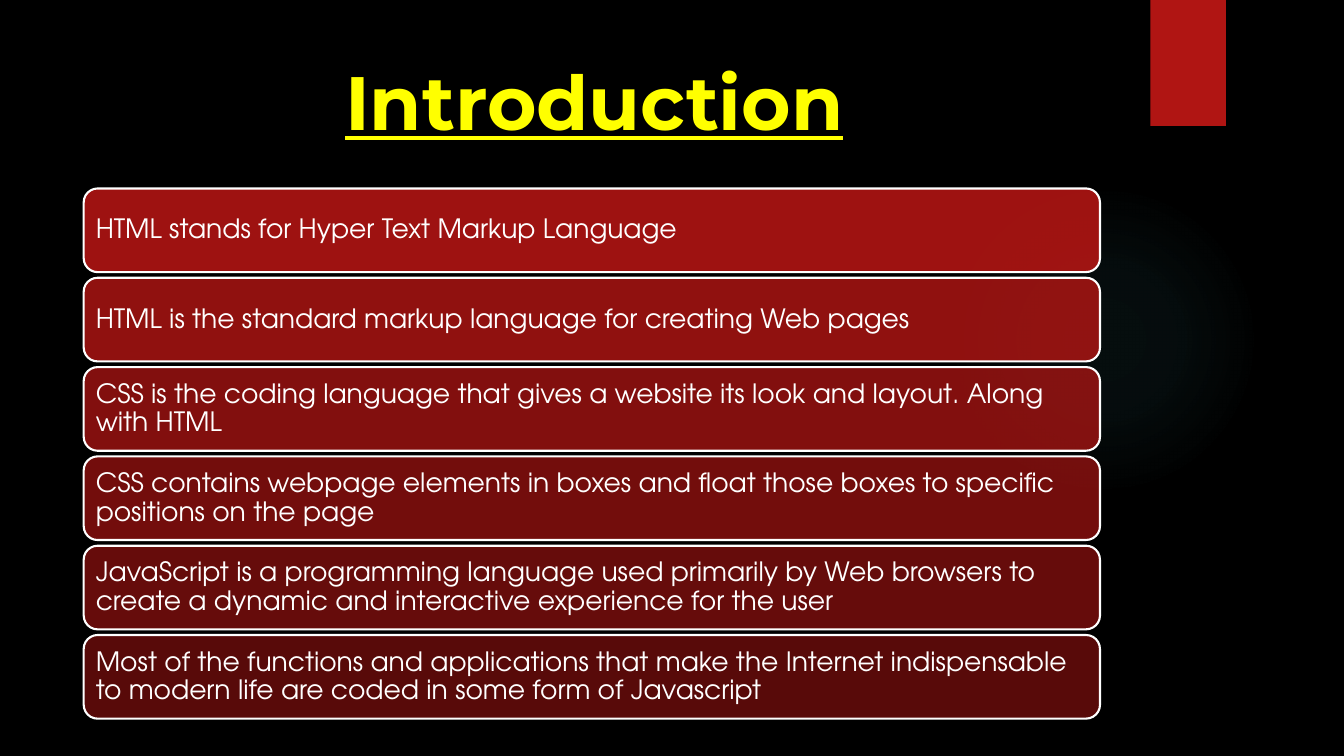
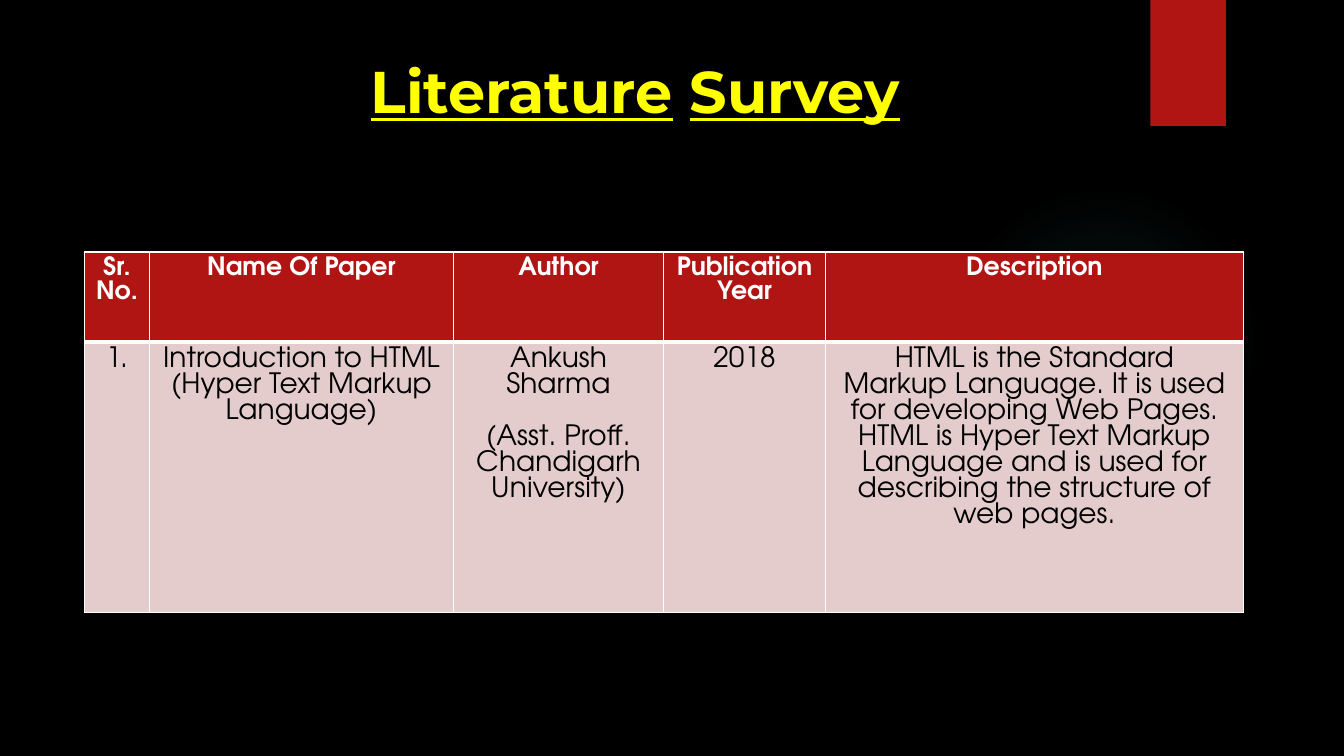
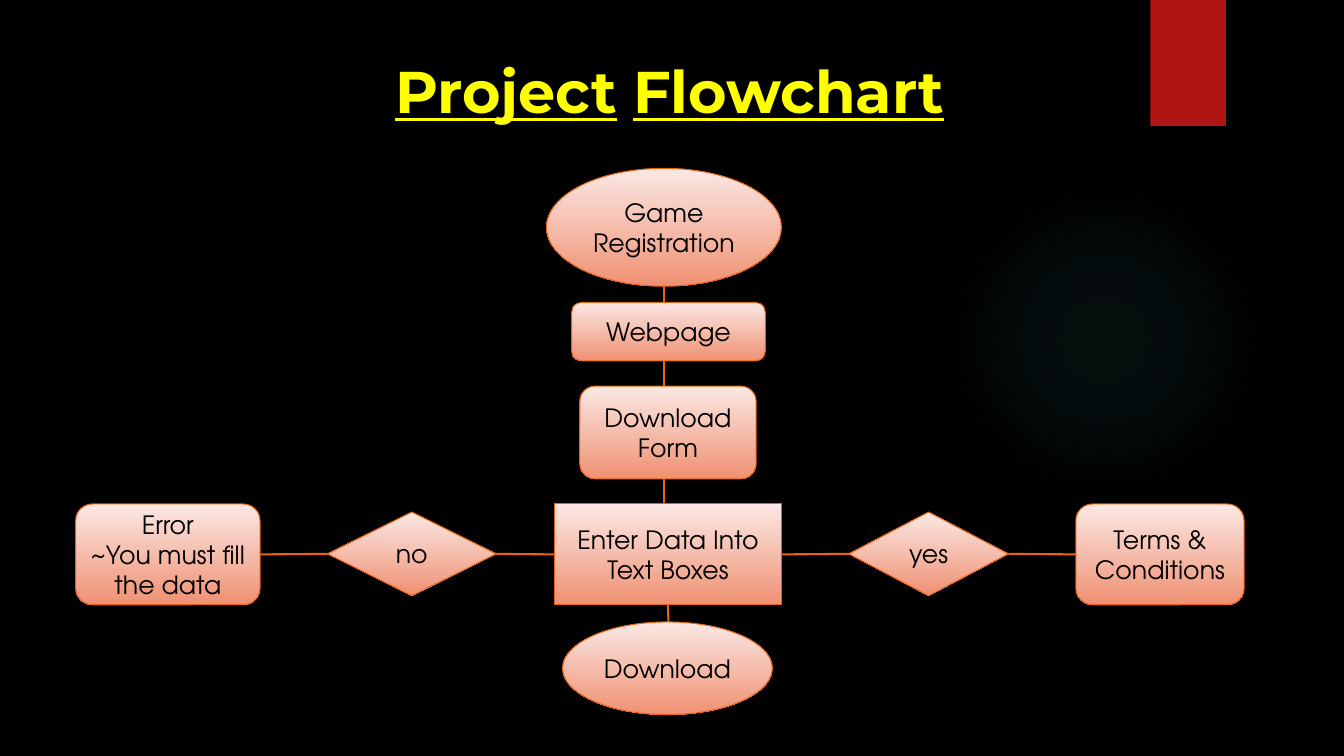
"""Build three dark slides on web languages: introduction, literature survey and flowchart."""
import pptx
import pptx.util
import pptx.oxml
import pptx.oxml.ns
import pptx.dml.color
import pptx.enum.shapes
import pptx.enum.text
import lxml.etree

Inches = pptx.util.Inches
Pt = pptx.util.Pt
SHAPE = pptx.enum.shapes.MSO_SHAPE
STRAIGHT = pptx.enum.shapes.MSO_CONNECTOR.STRAIGHT
CENTER = pptx.enum.text.PP_ALIGN.CENTER
LEFT = pptx.enum.text.PP_ALIGN.LEFT
MIDDLE = pptx.enum.text.MSO_ANCHOR.MIDDLE

BLACK, WHITE, YELLOW = "000000", "FFFFFF", "FFFF00"
RED, PINK, ORANGE, TEAL = "B01513", "E4CCCC", "EA6312", "50B9C1"
NODE_GRADIENT = ["FBE8E4", "EF9173"]
TITLE_FONT, BODY_FONT = "Montserrat", "TeX Gyre Adventor"


def color(code):
    return pptx.dml.color.RGBColor.from_string(code)


def add_text(paragraph, text, code, alignment=CENTER, **formats):
    paragraph.alignment = alignment
    run = paragraph.add_run()
    run.text = text
    run.font.color.rgb = color(code)
    for name, value in formats.items():
        setattr(run.font, name, value)


presentation = pptx.Presentation()
presentation.slide_width = Inches(13.33)
presentation.slide_height = Inches(7.5)
layout = presentation.slide_layouts[5]
layout.background.fill.solid()
layout.background.fill.fore_color.rgb = color(BLACK)
title_frame = {"left": 0.71, "top": 0.49, "width": 10.38, "height": 1}
for name, value in title_frame.items():
    setattr(layout.placeholders[0], name, Inches(value))

titles = [("Introduction", 54, 0.09), ("Literature Survey", 42, 0.9), ("Project Flowchart", 42, 1.58)]
slides = []
for text, size, margin in titles:
    slide = presentation.slides.add_slide(layout)
    frame = slide.shapes.title.text_frame
    frame.auto_size = pptx.enum.text.MSO_AUTO_SIZE.NONE
    frame.vertical_anchor = pptx.enum.text.MSO_ANCHOR.TOP
    frame.margin_left = Inches(margin)
    for index, word in enumerate(text.split()):
        style = {"name": TITLE_FONT, "size": Pt(size), "bold": True}
        if index:
            add_text(frame.paragraphs[0], " ", YELLOW, underline=False, **style)
        add_text(frame.paragraphs[0], word, YELLOW, underline=True, **style)
    slides.append(slide)
introduction, survey, flowchart = slides

glow = introduction.shapes.add_shape(SHAPE.OVAL, Inches(9.41), Inches(1.83), Inches(3.08), Inches(3.08))
tab = introduction.shapes.add_shape(SHAPE.RECTANGLE, Inches(11.41), 0, Inches(0.75), Inches(1.25))
tab.fill.solid()
tab.fill.fore_color.rgb = color(RED)
glow.fill.background()
stops = "".join(
    f'<a:gs pos="{position}000"><a:srgbClr val="{TEAL}"><a:alpha val="{alpha}000"/></a:srgbClr></a:gs>'
    for position, alpha in [(0, 7), (36, 6), (69, 0), (100, 0)])
gradient = pptx.oxml.parse_xml(
    f'<a:gradFill {pptx.oxml.ns.nsdecls("a")}><a:gsLst>{stops}</a:gsLst><a:path path="circle">'
    '<a:fillToRect l="50000" t="50000" r="50000" b="50000"/></a:path></a:gradFill>')
properties = glow.element.spPr
properties.replace(properties.find(pptx.oxml.ns.qn("a:noFill")), gradient)
for position, shape in enumerate([glow, tab]):
    shape.shadow.inherit = False
    shape.line.fill.background()
    layout.shapes.element.insert(2 + position, shape.element)

statements = [
    "HTML stands for Hyper Text Markup Language",
    "HTML is the standard markup language for creating Web pages",
    "CSS is the coding language that gives a website its look and layout. Along with HTML",
    "CSS contains webpage elements in boxes and float those boxes to specific positions on the page",
    "JavaScript is a programming language used primarily by Web browsers to create a dynamic "
    "and interactive experience for the user",
    "Most of the functions and applications that make the Internet indispensable to modern life "
    "are coded in some form of Javascript",
]
pitch = (6.3 - 1.87) / (len(statements) - 1)
for index, text in enumerate(statements):
    bar = introduction.shapes.add_shape(
        SHAPE.ROUNDED_RECTANGLE, Inches(0.83), Inches(1.87 + index * pitch), Inches(10.08), Inches(0.83))
    bar.shadow.inherit = False
    bar.fill.solid()
    bar.fill.fore_color.rgb = color(RED)
    fill_color = bar.element.spPr.xpath("./a:solidFill/a:srgbClr")[0]
    lxml.etree.SubElement(fill_color, pptx.oxml.ns.qn("a:alpha"), val=str((90 - 8 * index) * 1000))
    bar.line.color.rgb = color(WHITE)
    bar.line.width = Pt(1.5)
    frame = bar.text_frame
    frame.vertical_anchor = MIDDLE
    frame.margin_left = frame.margin_right = Inches(0.08)
    frame.paragraphs[0].line_spacing = 0.9
    add_text(frame.paragraphs[0], text, WHITE, LEFT, name=BODY_FONT, size=Pt(19))

rows = [
    ["Sr. No.", "Name Of Paper", "Author", "Publication Year", "Description"],
    ["1.", "Introduction to HTML (Hyper Text Markup Language)",
     "Ankush Sharma\n(Asst. Proff.\nChandigarh\nUniversity)", "2018",
     "HTML is the Standard Markup Language. It is used for developing Web Pages. HTML is Hyper Text "
     "Markup Language and is used for describing the structure of web pages."],
]
row_styles = [
    {"height": 0.89, "fill": RED, "text": WHITE, "size": 18, "bold": True, "thick": "lnB"},
    {"height": 2.69, "fill": PINK, "text": BLACK, "size": 20, "bold": False, "thick": "lnT"},
]
table = survey.shapes.add_table(2, 5, Inches(0.84), Inches(2.5), Inches(11.49), Inches(3.58)).table
for column, width in zip(table.columns, [0.64, 3.02, 2.08, 1.61, 4.14]):
    column.width = Inches(width)
for row, texts, style in zip(table.rows, rows, row_styles):
    row.height = Inches(style["height"])
    for cell, text in zip(row.cells, texts):
        for side in ["lnL", "lnR", "lnT", "lnB"]:
            width = Pt(3 if side == style["thick"] else 1)
            cell._tc.get_or_add_tcPr().append(pptx.oxml.parse_xml(
                f'<a:{side} {pptx.oxml.ns.nsdecls("a")} w="{width}"><a:solidFill>'
                f'<a:srgbClr val="{WHITE}"/></a:solidFill></a:{side}>'))
        cell.fill.solid()
        cell.fill.fore_color.rgb = color(style["fill"])
        for index, line in enumerate(text.split("\n")):
            paragraph = cell.text_frame.paragraphs[0] if index == 0 else cell.text_frame.add_paragraph()
            if index == 1:
                paragraph.space_before = Pt(18.6)
            add_text(paragraph, line, style["text"],
                     name=BODY_FONT, size=Pt(style["size"]), bold=style["bold"])
description = table.cell(1, 4)
description.margin_left = description.margin_right = Inches(0.15)

node_specs = {
    "registration": (SHAPE.OVAL, 5.42, 1.67, 2.33, 1.17, "Game Registration"),
    "webpage": (SHAPE.ROUNDED_RECTANGLE, 5.67, 3, 1.92, 0.58, "Webpage"),
    "form": (SHAPE.ROUNDED_RECTANGLE, 5.75, 3.83, 1.75, 0.92, "Download Form"),
    "entry": (SHAPE.RECTANGLE, 5.5, 5, 2.25, 1, "Enter Data Into Text Boxes"),
    "yes": (SHAPE.DIAMOND, 8.42, 5.08, 1.58, 0.83, "yes"),
    "terms": (SHAPE.ROUNDED_RECTANGLE, 10.67, 5, 1.67, 1, "Terms & Conditions"),
    "no": (SHAPE.DIAMOND, 3.25, 5.08, 1.67, 0.83, "no"),
    "error": (SHAPE.ROUNDED_RECTANGLE, 0.75, 5, 1.83, 1, "Error\n~You must fill the data"),
    "download": (SHAPE.OVAL, 5.58, 6.17, 2.08, 0.92, "Download"),
}
nodes = {}
for key, (kind, left, top, width, height, text) in node_specs.items():
    node = flowchart.shapes.add_shape(kind, Inches(left), Inches(top), Inches(width), Inches(height))
    node.shadow.inherit = False
    node.fill.gradient()
    node.fill.gradient_angle = 270
    for position, (stop, code) in enumerate(zip(node.fill.gradient_stops, NODE_GRADIENT)):
        stop.position = position
        stop.color.rgb = color(code)
    node.line.color.rgb = color(ORANGE)
    node.line.width = Pt(0.75)
    node.text_frame.vertical_anchor = MIDDLE
    for index, line in enumerate(text.split("\n")):
        paragraph = node.text_frame.paragraphs[0] if index == 0 else node.text_frame.add_paragraph()
        add_text(paragraph, line, BLACK, name=BODY_FONT, size=Pt(18))
    nodes[key] = node

connectors = []
for x, top, bottom in [(6.59, 2.75, 3), (6.59, 3.58, 3.83), (6.59, 4.75, 5), (6.63, 6, 6.17)]:
    connectors.append(flowchart.shapes.add_connector(
        STRAIGHT, Inches(x), Inches(top), Inches(x), Inches(bottom)))
connectors[-1].begin_connect(nodes["entry"], 2)
for start, start_site, end, end_site in [
        ("entry", 3, "yes", 1), ("yes", 3, "terms", 1), ("entry", 1, "no", 3), ("no", 1, "error", 3)]:
    connector = flowchart.shapes.add_connector(STRAIGHT, 0, 0, 0, 0)
    connector.begin_connect(nodes[start], start_site)
    connector.end_connect(nodes[end], end_site)
    connectors.append(connector)
for connector in connectors:
    connector.line.color.rgb = color(ORANGE)
    connector.line.width = Pt(1.5)
    lxml.etree.SubElement(connector.element.spPr, pptx.oxml.ns.qn("a:effectLst"))
    flowchart.shapes.element.insert(2, connector.element)

presentation.save("out.pptx")
